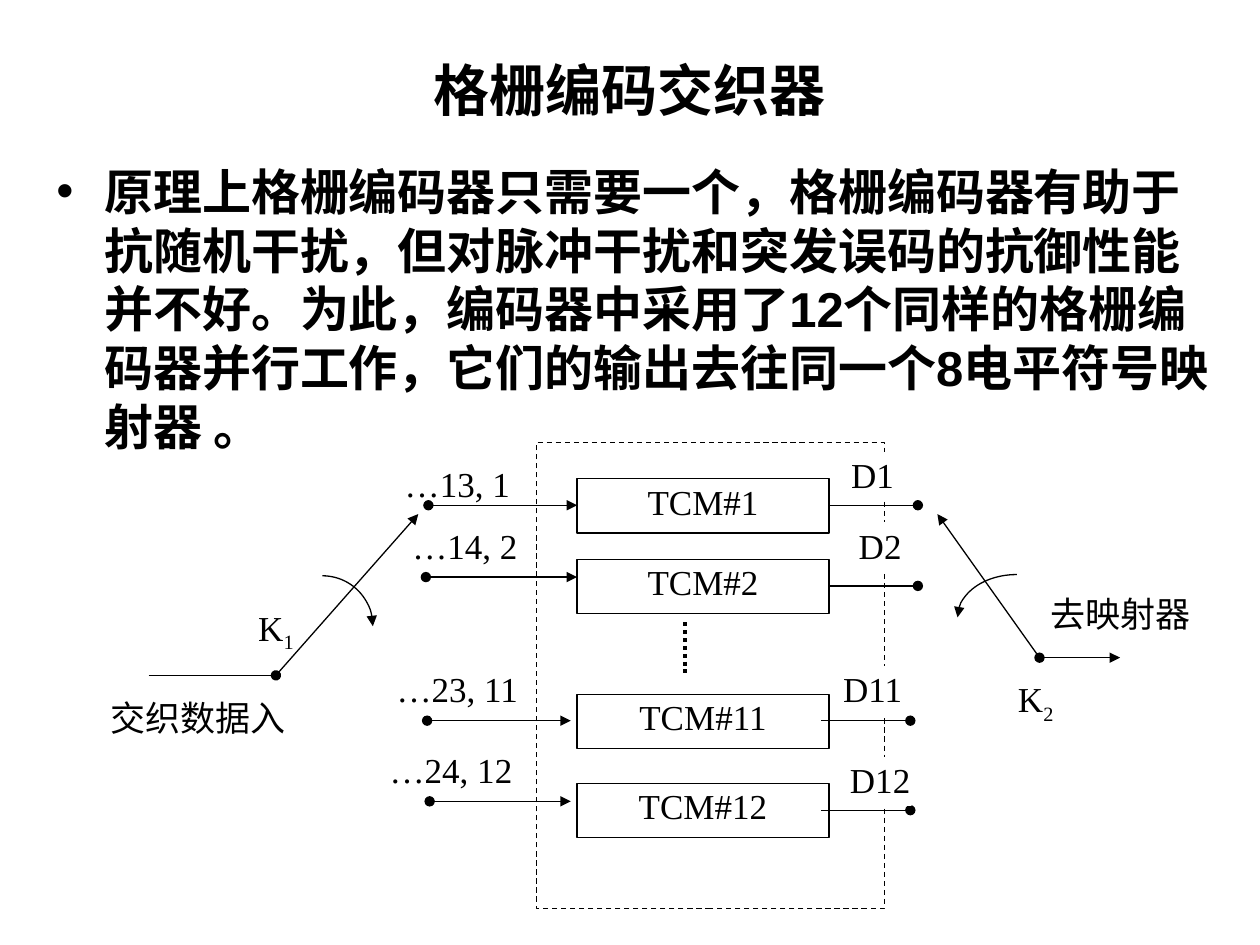
from dataclasses import dataclass

from lxml import etree
from pptx import Presentation
from pptx import util as u
from pptx.dml.color import RGBColor
from pptx.enum import dml, shapes, text
from pptx.oxml.ns import qn


@dataclass(frozen=True)
class Theme:
    ink: RGBColor = RGBColor(0, 0, 0)
    paper: RGBColor = RGBColor(255, 255, 255)
    heading_font: str = "Arial"
    diagram_font: str = "Times New Roman"
    title_size: int = 32
    body_size: int = 28
    label_size: int = 20
    thin: float = 0.75
    thick: float = 2.25


THEME = Theme()
COLUMNS, ROWS = 100, 75
SLIDE_WIDTH, SLIDE_HEIGHT = u.Inches(10), u.Inches(7.5)


@dataclass(frozen=True)
class Box:
    left: float
    top: float
    width: float
    height: float

    def inner(self, column, row, width, height):
        return Box(self.left + column, self.top + row, width, height)

    def point(self, column, row):
        return (
            round((self.left + column) * SLIDE_WIDTH / COLUMNS),
            round((self.top + row) * SLIDE_HEIGHT / ROWS),
        )

    def frame(self):
        left, top = self.point(0, 0)
        right, bottom = self.point(self.width, self.height)
        return left, top, right - left, bottom - top


@dataclass(frozen=True)
class Encoder:
    number: int
    top: float
    input_label: str
    input_label_at: tuple
    input_start: float
    input_end: float
    input_row: float
    output_start: float
    output_label_at: tuple


ENCODERS = [
    Encoder(1, 2.9, "…13, 1", (-12.5, 1.5), -8.6, 3.2, 5, 23.2, (24.2, 0.8)),
    Encoder(2, 9.3, "…14, 2", (-11.9, 6.4), -8.8, 3.2, 10.7, 23.2, (24.8, 6.4)),
    Encoder(11, 20, "…23, 11", (-12.5, 17.8), -8.7, 2.7, 22.1, 22.6, (24.2, 17.8)),
    Encoder(12, 27.1, "…24, 12", (-13, 24.2), -8.5, 2.7, 28.5, 22.6, (24.8, 25)),
]


def style_runs(paragraph, font_name, size, bold=False):
    for run in paragraph.runs:
        run.font.name = font_name
        run.font.size = u.Pt(size)
        run.font.bold = bold
        run.font.color.rgb = THEME.ink


def add_arrowheads(line_shape, head=None, tail=None):
    outline = line_shape.line._get_or_add_ln()
    for tag, kind in (("a:headEnd", head), ("a:tailEnd", tail)):
        if kind:
            etree.SubElement(outline, qn(tag), type=kind)


def add_line(slide, start, end, head=None, tail=None, width=THEME.thin, dash=None):
    line = slide.shapes.add_connector(shapes.MSO_CONNECTOR.STRAIGHT, *start, *end)
    line.line.color.rgb = THEME.ink
    line.line.width = u.Pt(width)
    if dash:
        line.line.dash_style = dash
    etree.SubElement(line._element.spPr, qn("a:effectLst"))
    add_arrowheads(line, head, tail)


def add_shape(slide, box, kind=shapes.MSO_SHAPE.RECTANGLE, fill=None, outline=THEME.ink):
    shape = slide.shapes.add_shape(kind, *box.frame())
    shape.shadow.inherit = False
    if fill is None:
        shape.fill.background()
    else:
        shape.fill.solid()
        shape.fill.fore_color.rgb = fill
    shape.line.color.rgb = outline
    shape.line.width = u.Pt(THEME.thin)
    return shape


def add_label(slide, box, wording, subscript=None, outline=THEME.paper):
    shape = add_shape(slide, box, fill=THEME.paper, outline=outline)
    frame = shape.text_frame
    frame.word_wrap = False
    frame.vertical_anchor = text.MSO_ANCHOR.TOP
    frame.margin_left = frame.margin_right = frame.margin_bottom = 0
    frame.margin_top = u.Inches(0.01)
    paragraph = frame.paragraphs[0]
    paragraph.text = wording
    paragraph.alignment = text.PP_ALIGN.CENTER
    if subscript:
        paragraph.add_run().text = subscript
    style_runs(paragraph, THEME.diagram_font, THEME.label_size)
    if subscript:
        paragraph.runs[-1].font._element.set("baseline", "-25000")


def add_rotation_arrow(slide, box, start_degrees, end_degrees, head=None, tail=None):
    arc = add_shape(slide, box, kind=shapes.MSO_SHAPE.ARC)
    arc.adjustments[0] = start_degrees * 0.6
    arc.adjustments[1] = end_degrees * 0.6
    add_arrowheads(arc, head, tail)


def add_title(slide, box):
    title = slide.shapes.title
    title.left, title.top, title.width, title.height = box.frame()
    frame = title.text_frame
    frame.text = "格栅编码交织器"
    frame.auto_size = text.MSO_AUTO_SIZE.NONE
    frame.vertical_anchor = text.MSO_ANCHOR.MIDDLE
    frame.paragraphs[0].alignment = text.PP_ALIGN.CENTER
    style_runs(frame.paragraphs[0], THEME.heading_font, THEME.title_size, bold=True)


def add_body(slide, box):
    frame = slide.shapes.add_textbox(*box.frame()).text_frame
    frame.word_wrap = True
    paragraph = frame.paragraphs[0]
    paragraph.text = (
        "原理上格栅编码器只需要一个，格栅编码器有助于抗随机干扰，"
        "但对脉冲干扰和突发误码的抗御性能并不好。为此，编码器中采用了"
        "12个同样的格栅编码器并行工作，它们的输出去往同一个8电平符号映射器 。"
    )
    properties = paragraph._p.get_or_add_pPr()
    indent = u.Inches(0.38)
    properties.set("marL", str(indent))
    properties.set("indent", str(-indent))
    etree.SubElement(properties, qn("a:buFont"), typeface=THEME.heading_font)
    etree.SubElement(properties, qn("a:buChar"), char="•")
    style_runs(paragraph, THEME.heading_font, THEME.body_size, bold=True)


def add_encoder_bank(slide, box):
    for encoder in ENCODERS:
        add_label(slide, box.inner(3.2, encoder.top, 20, 4.3),
                  f"TCM#{encoder.number}", outline=THEME.ink)
        add_label(slide, box.inner(*encoder.input_label_at, 12.4, 3.6), encoder.input_label)
        add_line(slide, box.point(encoder.input_start, encoder.input_row),
                 box.point(encoder.input_end, encoder.input_row), "oval", "triangle")

    add_shape(slide, box).line.dash_style = dml.MSO_LINE.DASH

    for encoder in ENCODERS:
        row = encoder.top + 2.1
        add_line(slide, box.point(encoder.output_start, row),
                 box.point(encoder.output_start + 7.05, row), tail="oval")
        add_label(slide, box.inner(*encoder.output_label_at, 4.9, 3.8), f"D{encoder.number}")

    add_line(slide, box.point(11.8, 14.3), box.point(11.8, 18.5),
             width=THEME.thick, dash=dml.MSO_LINE.ROUND_DOT)


def add_input_switch(slide, box):
    add_label(slide, box.inner(16, 2.3, 3.2, 3.6), "K", "1")
    add_label(slide, box.inner(2, 9.5, 18.8, 3.4), "交织数据入")
    add_line(slide, box.point(7.5, 7.9), box.point(17.4, 7.9))
    add_line(slide, box.point(17.6, 7.9), box.point(28.9, -4.9), "oval", "triangle")
    add_rotation_arrow(slide, box.inner(17.3, 0, 8, 8), 270, 0, tail="triangle")


def add_output_switch(slide, box):
    add_label(slide, box.inner(6.3, 1.3, 16.5, 3.4), "去映射器")
    add_label(slide, box.inner(6.3, 8.1, 3, 3.6), "K", "2")
    add_line(slide, box.point(8.1, 6.6), box.point(0, -4.8), tail="triangle")
    add_line(slide, box.point(8.1, 6.6), box.point(14.5, 6.6), "oval", "triangle")
    add_rotation_arrow(slide, box.inner(1.6, 0, 9.4, 6.8), 180, 270, head="triangle")


def main():
    presentation = Presentation()
    presentation.slide_width, presentation.slide_height = SLIDE_WIDTH, SLIDE_HEIGHT
    slide = presentation.slides.add_slide(presentation.slide_layouts[5])
    slide.background.fill.solid()
    slide.background.fill.fore_color.rgb = THEME.paper
    add_title(slide, Box(5, 3, 90, 8.2))
    add_body(slide, Box(3.5, 12.3, 93.4, 25.2))
    add_encoder_bank(slide, Box(42.6, 35.1, 27.6, 37))
    add_input_switch(slide, Box(4.3, 45.7, 28.9, 12.9))
    add_output_switch(slide, Box(74.4, 45.6, 22.8, 14.1))
    presentation.save("out.pptx")


if __name__ == "__main__":
    main()
